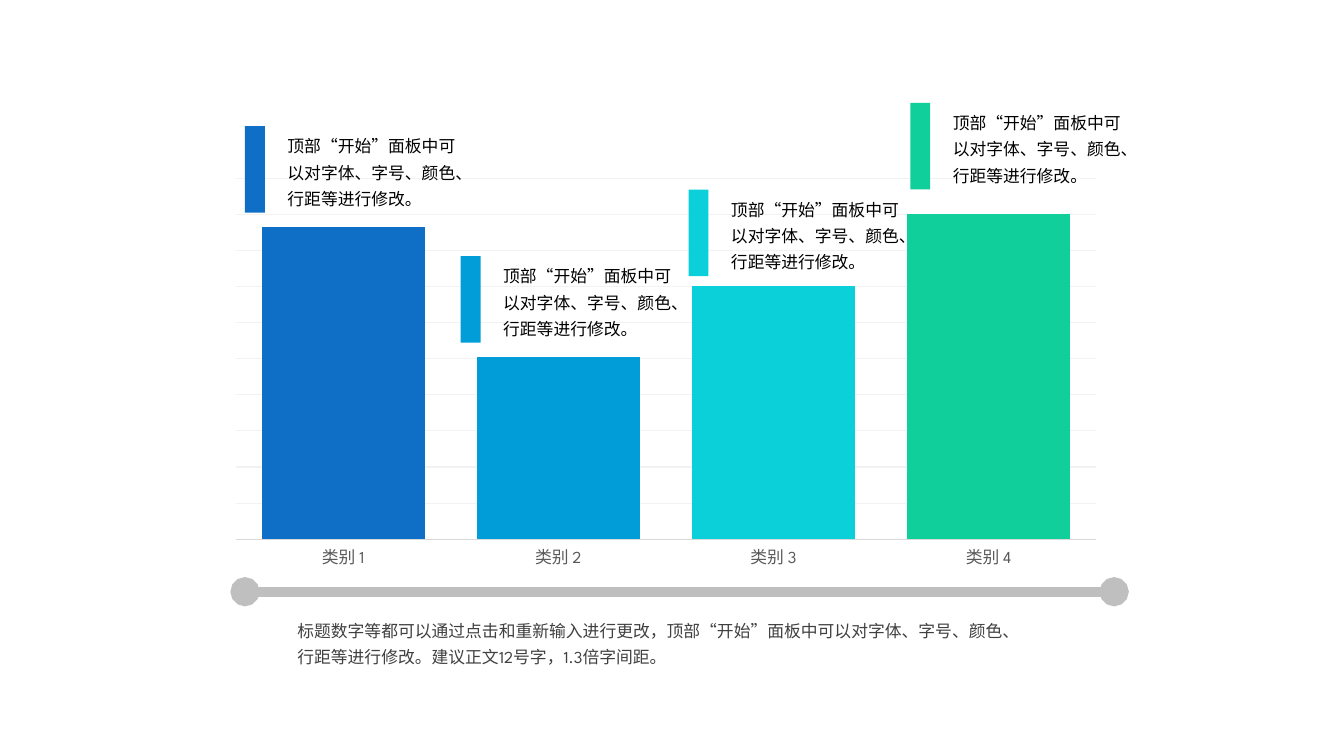
from lxml.etree import SubElement
from pptx import Presentation
from pptx.chart.data import CategoryChartData
from pptx.dml.color import RGBColor
from pptx.enum.chart import XL_CHART_TYPE, XL_TICK_MARK
from pptx.enum.shapes import MSO_CONNECTOR, MSO_SHAPE
from pptx.enum.text import MSO_AUTO_SIZE
from pptx.oxml.ns import qn
from pptx.util import Inches, Pt

SLIDE_WIDTH, SLIDE_HEIGHT = Inches(13.33), Inches(7.5)
FONT = "League Spartan"
BLACK = RGBColor(0x00, 0x00, 0x00)
DARK_GREY = RGBColor(0x40, 0x40, 0x40)
LABEL_GREY = RGBColor(0x59, 0x59, 0x59)
RULE_GREY = RGBColor(0xBF, 0xBF, 0xBF)
AXIS_GREY = RGBColor(0xD9, 0xD9, 0xD9)
GRID_GREY = RGBColor(0xF2, 0xF2, 0xF2)
BLUE = RGBColor(0x0F, 0x6F, 0xC6)
SKY = RGBColor(0x00, 0x9D, 0xD9)
CYAN = RGBColor(0x0B, 0xD0, 0xD9)
GREEN = RGBColor(0x10, 0xCF, 0x9B)

VALUES = (96, 56, 78, 100)
COLORS = (BLUE, SKY, CYAN, GREEN)
CALLOUT_CORNERS = ((18.23, 16.67), (34.28, 33.87), (51.23, 25.07), (67.73, 13.6))
CALLOUT_SIZE = (16.46, 11.47)
CALLOUT_TEXT = "顶部“开始”面板中可以对字体、字号、颜色、行距等进行修改。"
SUMMARY_TEXT = (
    "标题数字等都可以通过点击和重新输入进行更改，顶部“开始”面板中可以对字体、字号、颜色、"
    "行距等进行修改。建议正文12号字，1.3倍字间距。"
)


def percent_box(left, top, width, height):
    return (
        int(SLIDE_WIDTH * left / 100),
        int(SLIDE_HEIGHT * top / 100),
        int(SLIDE_WIDTH * width / 100),
        int(SLIDE_HEIGHT * height / 100),
    )


def style_font(font, size, color):
    font.name = FONT
    font.size = Pt(size)
    font.color.rgb = color


def style_line(line, color, width):
    line.color.rgb = color
    line.width = Pt(width)


def add_text(shapes, box, text, color):
    frame = shapes.add_textbox(*box).text_frame
    frame.word_wrap = True
    frame.auto_size = MSO_AUTO_SIZE.SHAPE_TO_FIT_TEXT
    frame.margin_left = frame.margin_right = Inches(0.07)
    frame.margin_top = frame.margin_bottom = Inches(0.04)
    para = frame.paragraphs[0]
    para.text = text
    para.line_spacing = 1.3
    style_font(para.font, 12, color)


def add_columns(page, box):
    data = CategoryChartData()
    data.categories = [f"类别 {number}" for number in range(1, len(VALUES) + 1)]
    data.add_series("Series 1", VALUES)
    chart = page.shapes.add_chart(XL_CHART_TYPE.COLUMN_CLUSTERED, *box, data).chart
    chart.has_legend = False
    chart.has_title = False
    style_font(chart.font, 10, BLACK)

    plot = chart.plots[0]
    plot.gap_width = 32
    plot.overlap = -21
    plot.vary_by_categories = False
    series = plot.series[0]
    series.format.fill.solid()
    series.format.fill.fore_color.rgb = BLUE
    for index, color in enumerate(COLORS[1:], 1):
        fill = series.points[index].format.fill
        fill.solid()
        fill.fore_color.rgb = color

    category_axis = chart.category_axis
    category_axis.major_tick_mark = XL_TICK_MARK.NONE
    category_axis.minor_tick_mark = XL_TICK_MARK.NONE
    style_font(category_axis.tick_labels.font, 12, LABEL_GREY)
    style_line(category_axis.format.line, AXIS_GREY, 0.75)

    value_axis = chart.value_axis
    value_axis.visible = False
    value_axis.minimum_scale = 0
    value_axis.maximum_scale = 111.1
    value_axis.major_unit = 11.11
    value_axis.has_major_gridlines = True
    style_line(value_axis.major_gridlines.format.line, GRID_GREY, 0.75)


def add_rule(page, box):
    left, top, width, height = box
    rule = page.shapes.add_connector(
        MSO_CONNECTOR.STRAIGHT, left, top, left + width, top + height
    )
    style_line(rule.line, RULE_GREY, 7)
    properties = rule._element.spPr
    outline = properties.find(qn("a:ln"))
    for end in ("a:headEnd", "a:tailEnd"):
        SubElement(outline, qn(end), type="oval")
    SubElement(properties, qn("a:effectLst"))


def add_callout(page, box, color):
    left, top, width, height = box
    group = page.shapes.add_group_shape()
    text_box = (left + int(width * 0.16), top, int(width * 0.84), height)
    add_text(group.shapes, text_box, CALLOUT_TEXT, BLACK)
    marker = group.shapes.add_shape(
        MSO_SHAPE.RECTANGLE, left, top, int(width * 0.09), height
    )
    marker.shadow.inherit = False
    marker.fill.solid()
    marker.fill.fore_color.rgb = color
    marker.line.fill.background()


def main():
    deck = Presentation()
    deck.slide_width, deck.slide_height = SLIDE_WIDTH, SLIDE_HEIGHT
    page = deck.slides.add_slide(deck.slide_layouts[6])
    add_columns(page, percent_box(16.2, 22.53, 66.69, 53.73))
    add_text(page.shapes, percent_box(21.6, 80.8, 55.96, 8), SUMMARY_TEXT, DARK_GREY)
    add_rule(page, percent_box(18.23, 78.27, 64.67, 0))
    for corner, color in zip(CALLOUT_CORNERS, COLORS):
        add_callout(page, percent_box(*corner, *CALLOUT_SIZE), color)
    deck.save("out.pptx")


if __name__ == "__main__":
    main()
